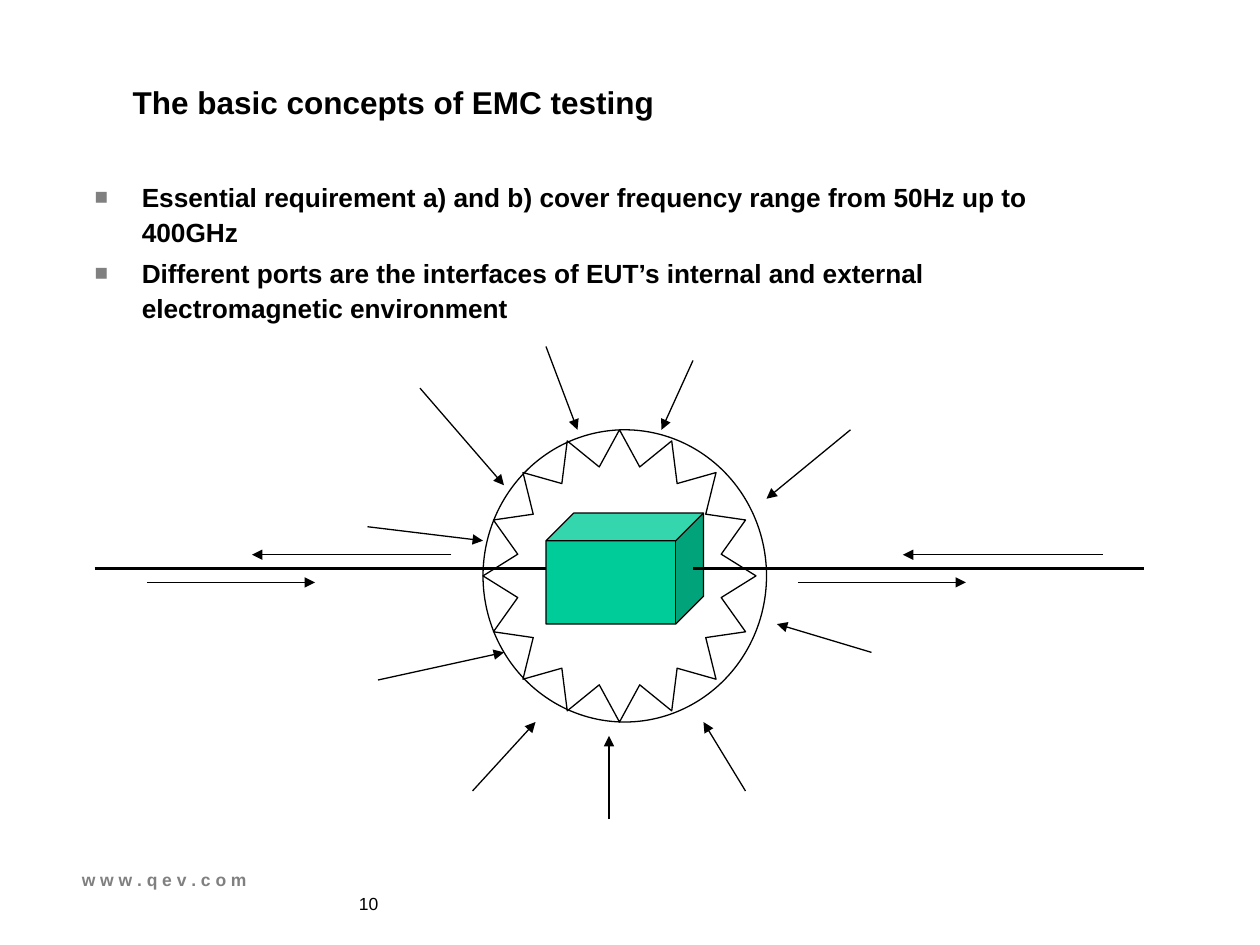
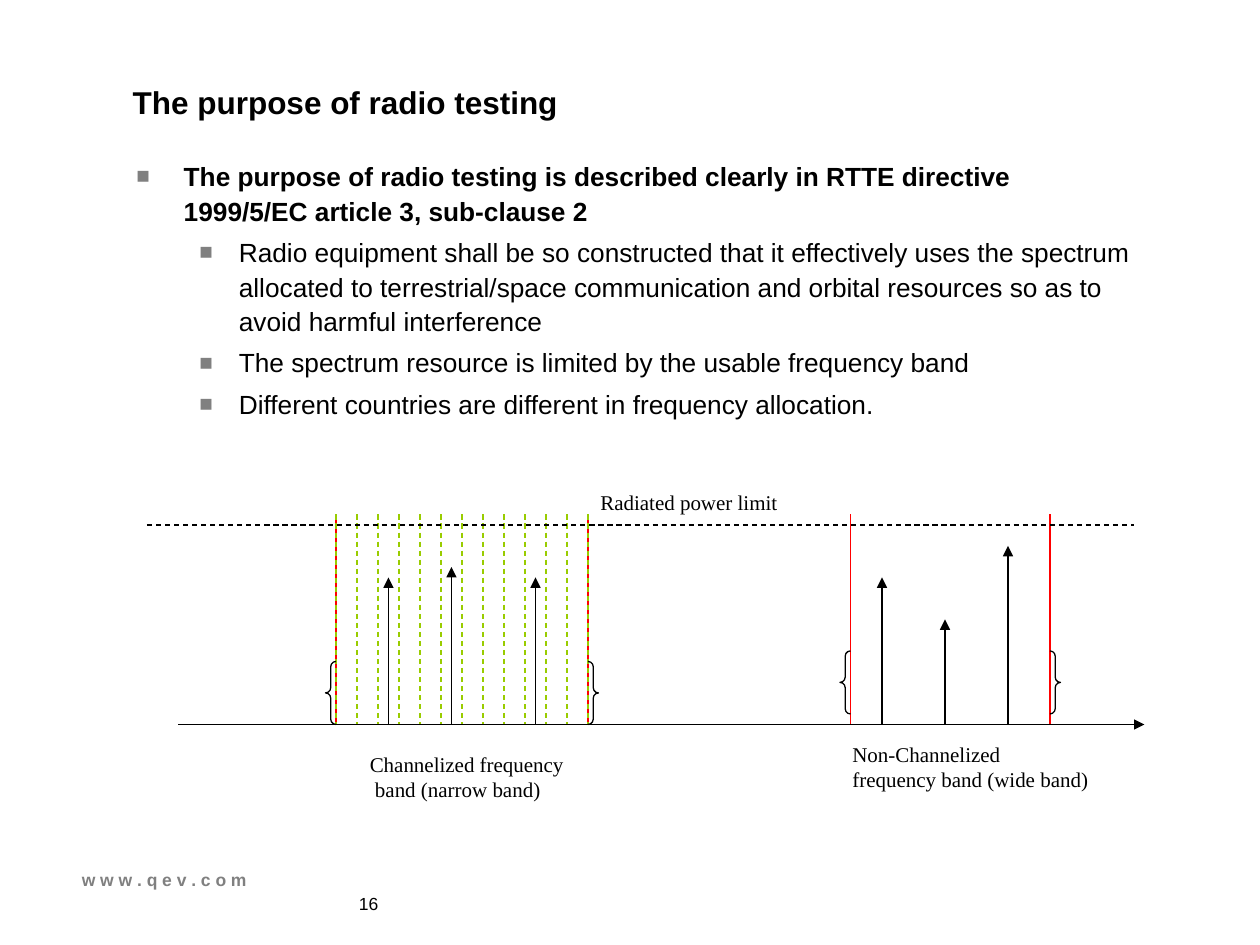
import math

import lxml.etree
import pptx
import pptx.dml.color
import pptx.enum.dml
import pptx.enum.shapes
import pptx.enum.text
import pptx.oxml.ns
import pptx.util

Pt = pptx.util.Pt
qn = pptx.oxml.ns.qn
rgb = pptx.dml.color.RGBColor.from_string
SHAPE = pptx.enum.shapes.MSO_SHAPE
ANCHOR = pptx.enum.text.MSO_ANCHOR

BLACK, GREY, RED = "000000", "808080", "FF0000"
LIME, GREEN = "99CC00", "00CC99"
INDENTS = [(27, 27), (58.5, 22.5)]  # left margin and hanging indent per bullet level


def write(slide, lines, box, size=12, font="Arial", color=BLACK, bold=False,
          insets=(0, 0, 0, 0), anchor=ANCHOR.TOP, before=0, levels=None):
    """Add a text box; levels gives each line's bullet level, and level 0 is bold."""
    frame = slide.shapes.add_textbox(*map(Pt, box)).text_frame
    frame.word_wrap = True
    frame.vertical_anchor = anchor
    frame.margin_left, frame.margin_top, frame.margin_right, frame.margin_bottom = map(Pt, insets)
    for index, line in enumerate(lines):
        paragraph = frame.paragraphs[0] if index == 0 else frame.add_paragraph()
        paragraph.space_before = Pt(before)
        run = paragraph.add_run()
        run.text = line
        run.font.size, run.font.name, run.font.bold = Pt(size), font, bold
        run.font.color.rgb = rgb(color)
        if levels:
            run.font.bold = levels[index] == 0
            paragraph.level = levels[index]
            paragraph.line_spacing = 1.1
            paragraph.space_after = Pt(3.7)
            margin, hanging = INDENTS[levels[index]]
            properties = paragraph._p.get_or_add_pPr()
            properties.set("marL", str(Pt(margin)))
            properties.set("indent", str(-Pt(hanging)))
            bullet_color = lxml.etree.SubElement(properties, qn("a:buClr"))
            lxml.etree.SubElement(bullet_color, qn("a:srgbClr"), val=GREY)
            lxml.etree.SubElement(properties, qn("a:buSzPct"), val="85000")
            lxml.etree.SubElement(properties, qn("a:buFont"), typeface="Arial")
            lxml.etree.SubElement(properties, qn("a:buChar"), char="■")


def draw_line(slide, x1, y1, x2, y2, color=BLACK, width=0.75, dashed=False, arrow=False):
    connector = slide.shapes.add_connector(
        pptx.enum.shapes.MSO_CONNECTOR.STRAIGHT, Pt(x1), Pt(y1), Pt(x2), Pt(y2))
    connector.line.color.rgb = rgb(color)
    connector.line.width = Pt(width)
    if dashed:
        connector.line.dash_style = pptx.enum.dml.MSO_LINE.DASH
    if arrow:
        lxml.etree.SubElement(connector.line._get_or_add_ln(), qn("a:tailEnd"), type="triangle")
    lxml.etree.SubElement(connector._element.spPr, qn("a:effectLst"))


deck = pptx.Presentation()
deck.slide_width, deck.slide_height = Pt(720), Pt(540)

# Title, bullets and footer of every slide
pages = [
    ("The basic concepts of EMC testing", "10", (54, 102, 588, 300), [
        (0, "Essential requirement a) and b) cover frequency range from 50Hz up to 400GHz"),
        (0, "Different ports are the interfaces of EUT’s internal and external "
            "electromagnetic environment"),
    ]),
    ("The purpose of radio testing", "16", (78, 90, 570, 348), [
        (0, "The purpose of radio testing is described clearly in RTTE directive "
            "1999/5/EC article 3, sub-clause 2"),
        (1, "Radio equipment shall be so constructed that it effectively uses the spectrum "
            "allocated to terrestrial/space communication and orbital resources so as to "
            "avoid harmful interference"),
        (1, "The spectrum resource is limited by the usable frequency band"),
        (1, "Different countries are different in frequency allocation."),
    ]),
]
slides = []
for title, number, body_box, bullets in pages:
    slide = deck.slides.add_slide(deck.slide_layouts[6])
    write(slide, ["w w w . q e v . c o m"], (46.8, 488.5, 141.8, 20.2), size=10, color=GREY,
          bold=True, insets=(0, 8.64, 0, 0), anchor=ANCHOR.BOTTOM, before=6.2)
    write(slide, [title], (47.8, 47.5, 468, 31), size=18, bold=True, insets=(28.1, 0, 0, 0))
    write(slide, [text for _, text in bullets], body_box, size=15,
          levels=[level for level, _ in bullets])
    write(slide, [number], (198, 506.9, 36, 36), size=10, insets=(7.2, 3.6, 7.2, 3.6))
    slides.append(slide)
emc, radio = slides

# Equipment under test inside its zigzag enclosure
equipment = emc.shapes.add_shape(SHAPE.CUBE, Pt(312), Pt(293.2), Pt(90), Pt(63.4))
enclosure = emc.shapes.add_shape(SHAPE.OVAL, Pt(276), Pt(245.6), Pt(162), Pt(167))
zigzag_points = []
for step in range(32):
    reach = 1 if step % 2 == 0 else 0.76
    angle = math.radians(step * 11.25)
    zigzag_points.append((Pt(354 - 78 * reach * math.cos(angle)),
                          Pt(329.1 + 83.5 * reach * math.sin(angle))))
outline = emc.shapes.build_freeform(*zigzag_points[0], scale=1.0)
outline.add_line_segments(zigzag_points[1:], close=True)
zigzag = outline.convert_to_shape()

# Braces at the foot of both frequency bands
bands = [(192, 336, 378), (486, 600, 372)]
for left, right, _ in bands:
    for edge in (left, right):
        draw_line(radio, edge, 294, edge, 414, color=RED)
for channel in range(192, 337, 12):
    draw_line(radio, channel, 294, channel, 414, color=LIME, dashed=True)
braces = [radio.shapes.add_shape(SHAPE.DOUBLE_BRACE, Pt(left - 6), Pt(top),
                                 Pt(right - left + 12), Pt(36))
          for left, right, top in bands]

for shape in [equipment, enclosure, zigzag, *braces]:
    shape.shadow.inherit = False
    shape.fill.background()
    shape.line.color.rgb = rgb(BLACK)
    shape.line.width = Pt(0.75)
equipment.fill.solid()
equipment.fill.fore_color.rgb = rgb(GREEN)

# Radiated disturbances, clockwise from the upper right
for disturbance in [
    (486, 245.6, 438, 285), (498, 372.8, 444, 356.6), (426, 452, 402, 412.6),
    (348, 468, 348, 420.5), (270, 452, 306, 412.6), (216, 388.6, 288, 372.8),
    (210, 301, 276, 309), (240, 221.8, 288, 277.3), (312, 198, 330, 245.6),
    (396, 206, 378, 245.6),
]:
    draw_line(emc, *disturbance, arrow=True)

# Cables with conducted disturbances in both directions
for cable_start, cable_end in [(396, 654), (54, 312)]:
    draw_line(emc, cable_start, 324.9, cable_end, 324.9, width=2)
for shift in (0, 372):
    draw_line(emc, 84 + shift, 332.8, 180 + shift, 332.8, arrow=True)
    draw_line(emc, 258 + shift, 317, 144 + shift, 317, arrow=True)

# Frequency axis, power limit and carriers
draw_line(radio, 102, 414, 654, 414, arrow=True)
draw_line(radio, 84, 300, 648, 300, dashed=True)
for frequency, peak in [(222, 330), (258, 324), (306, 330), (504, 330), (540, 354), (576, 312)]:
    draw_line(radio, frequency, 414, frequency, peak, arrow=True)

# Captions, with room to spare so that each line stays whole
for caption, box in [
    (["Channelized frequency", " band (narrow band)"], (204.2, 426, 140, 36)),
    (["Radiated power limit"], (336, 276, 130, 21.6)),
    (["Non-Channelized", "frequency band (wide band)"], (480, 420, 165, 36)),
]:
    write(radio, caption, box, font="Times New Roman", insets=(7.2, 3.6, 7.2, 3.6))

deck.save("out.pptx")
